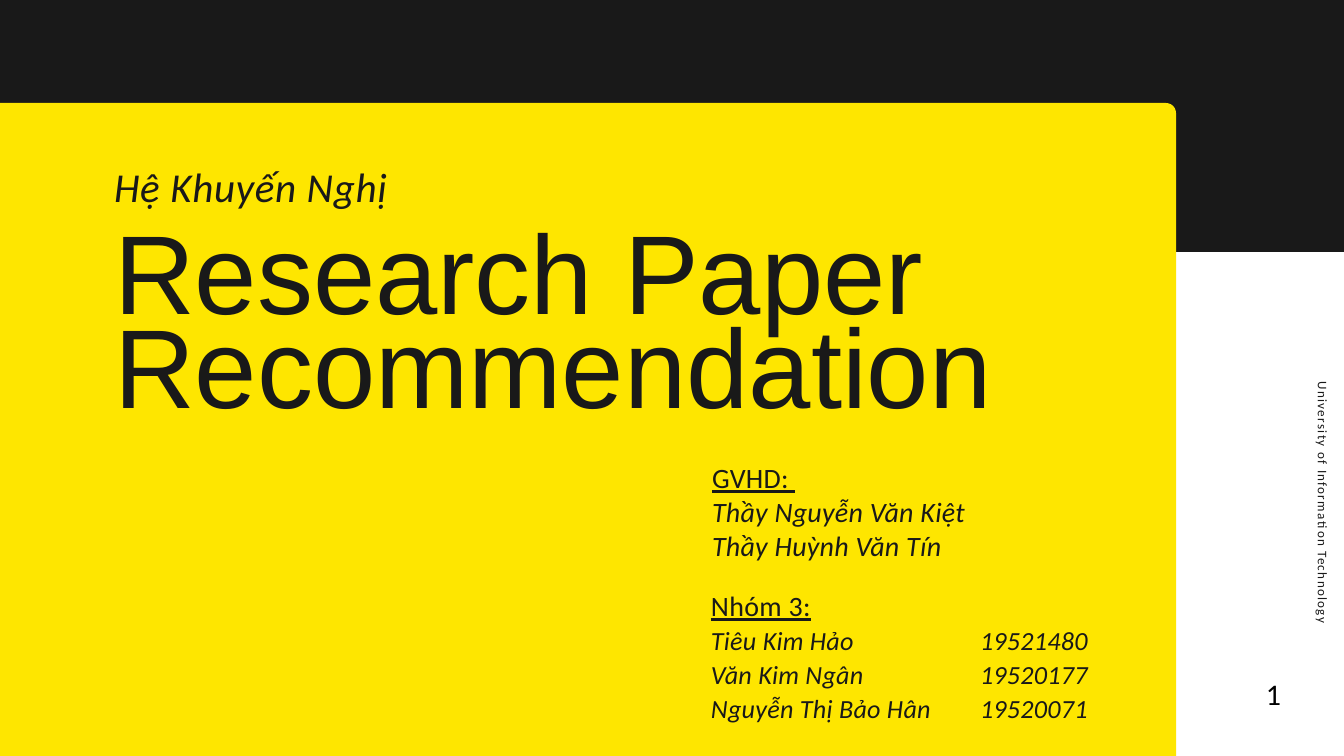
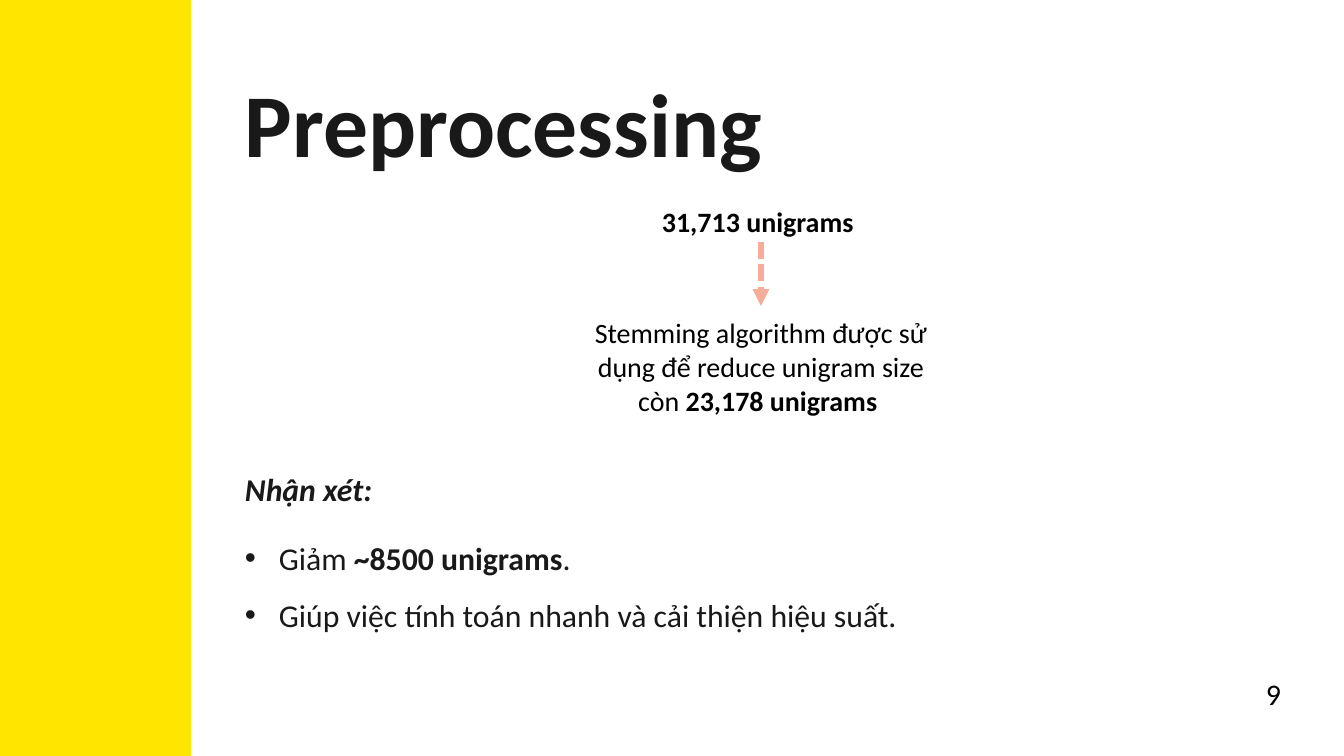
from dataclasses import dataclass

from lxml.etree import SubElement
from pptx import Presentation
from pptx.dml.color import RGBColor
from pptx.enum.dml import MSO_LINE
from pptx.enum.shapes import MSO_CONNECTOR, MSO_SHAPE
from pptx.enum.text import MSO_ANCHOR, MSO_AUTO_SIZE, PP_ALIGN
from pptx.oxml.ns import qn
from pptx.util import Pt

EMU_PER_PX = 914400 / 67.2
YELLOW = RGBColor(0xFE, 0xE6, 0x00)
INK = RGBColor(0x19, 0x19, 0x19)
BLACK = RGBColor(0x00, 0x00, 0x00)
SALMON = RGBColor(0xF5, 0xAD, 0x9A)
BODY_FONT = "Calibri"
DISPLAY_FONT = "Arial"
INSET_X, INSET_Y = 7, 3
TITLE_ONLY = 5


def px(length):
    return round(length * EMU_PER_PX)


@dataclass
class Box:
    left: int
    top: int
    width: int
    height: int

    def inner(self, dx, dy, width, height):
        return Box(self.left + dx, self.top + dy, width, height)

    def emu(self):
        return [px(value) for value in (self.left, self.top, self.width, self.height)]


PAGE = Box(0, 0, 1344, 756)


def add_block(slide, box, kind, color):
    shape = slide.shapes.add_shape(kind, *box.emu())
    shape.shadow.inherit = False
    shape.fill.solid()
    shape.fill.fore_color.rgb = color
    shape.line.fill.background()
    return shape


def set_frame(frame, padded=False, anchor=MSO_ANCHOR.TOP):
    frame.word_wrap = True
    frame.auto_size = MSO_AUTO_SIZE.NONE
    frame.vertical_anchor = anchor
    frame.margin_left = frame.margin_right = px(INSET_X if padded else 0)
    frame.margin_top = frame.margin_bottom = px(INSET_Y if padded else 0)


def add_run(paragraph, text, size, color=INK, font=BODY_FONT, bold=False,
            italic=False, underline=False, tracking=0):
    run = paragraph.add_run()
    run.text = text
    run.font.size = Pt(size)
    run.font.name = font
    run.font.color.rgb = color
    run.font.bold = bold
    run.font.italic = italic
    run.font.underline = underline
    if tracking:
        run._r.get_or_add_rPr().set("spc", str(round(tracking * 100)))


def add_paragraph(frame, align=PP_ALIGN.LEFT, spacing=None):
    first = frame.paragraphs[0]
    paragraph = frame.add_paragraph() if first.runs else first
    paragraph.alignment = align
    if spacing is not None:
        paragraph.line_spacing = spacing
    return paragraph


def add_text_box(slide, box, padded=False, anchor=MSO_ANCHOR.TOP):
    shape = slide.shapes.add_textbox(*box.emu())
    set_frame(shape.text_frame, padded, anchor)
    return shape


def place_title(slide, box, text, size, spacing=None, **style):
    title = slide.shapes.title
    title.left, title.top, title.width, title.height = box.emu()
    set_frame(title.text_frame)
    add_run(add_paragraph(title.text_frame, spacing=spacing), text, size, **style)
    title.element.getparent().append(title.element)


def add_page_number(slide, number):
    shape = add_text_box(slide, PAGE.inner(1131, 680, 157, 27), True, MSO_ANCHOR.MIDDLE)
    add_run(add_paragraph(shape.text_frame, PP_ALIGN.RIGHT), str(number), 32, BLACK)


def set_bullet(paragraph, indent):
    properties = paragraph._p.get_or_add_pPr()
    properties.set("marL", str(px(indent)))
    properties.set("indent", str(-px(indent)))
    SubElement(properties, qn("a:buFont")).set("typeface", "Arial")
    SubElement(properties, qn("a:buChar")).set("char", "•")


def set_tab(paragraph, position):
    stops = SubElement(paragraph._p.get_or_add_pPr(), qn("a:tabLst"))
    stop = SubElement(stops, qn("a:tab"))
    stop.set("pos", str(px(position)))
    stop.set("algn", "l")


def add_name_list(slide, box, heading, names, size, tab=None):
    frame = add_text_box(slide, box).text_frame
    add_run(add_paragraph(frame, spacing=Pt(36)), heading, 30, underline=True, tracking=0.3)
    for name in names:
        paragraph = add_paragraph(frame, spacing=Pt(36))
        if tab:
            set_tab(paragraph, tab)
        add_run(paragraph, name, size, italic=True, tracking=0.3)


def add_cover_card(slide, box):
    card = add_block(slide, box, MSO_SHAPE.ROUNDED_RECTANGLE, YELLOW)
    card.adjustments[0] = 10 / box.height
    place_title(slide, box.inner(166, 141, 1075, 195), "Research Paper Recommendation",
                120, Pt(100), font=DISPLAY_FONT)
    subject = add_text_box(slide, box.inner(166, 81, 715, 32)).text_frame
    add_run(add_paragraph(subject, spacing=Pt(28.8)), "Hệ Khuyến Nghị", 44,
            italic=True, tracking=0.7)
    add_name_list(slide, box.inner(764, 358, 428, 101), "GVHD: ",
                  ["Thầy Nguyễn Văn Kiệt", "Thầy Huỳnh Văn Tín"], 30)
    add_name_list(slide, box.inner(763, 486, 428, 136), "Nhóm 3:",
                  ["Tiêu Kim Hảo\t19521480", "Văn Kim Ngân\t19520177",
                   "Nguyễn Thị Bảo Hân\t19520071"], 28, tab=269)


def add_side_label(slide, box):
    shape = add_text_box(slide, box)
    shape.rotation = 90
    paragraph = add_paragraph(shape.text_frame, PP_ALIGN.CENTER, Pt(16.8))
    add_run(paragraph, "University of Information Technology", 14, tracking=1.4)


def add_stemming_flow(slide, box):
    before = add_text_box(slide, box.inner(0, 0, box.width, 40), padded=True)
    add_run(add_paragraph(before.text_frame, PP_ALIGN.CENTER), "31,713 unigrams ",
            30, BLACK, bold=True)

    middle = px(box.left + box.width // 2)
    arrow = slide.shapes.add_connector(MSO_CONNECTOR.STRAIGHT, middle, px(box.top + 40),
                                       middle, px(box.top + 104))
    arrow.begin_connect(before, 2)
    arrow.line.color.rgb = SALMON
    arrow.line.width = Pt(6)
    arrow.line.dash_style = MSO_LINE.SQUARE_DOT
    properties = arrow.element.spPr
    SubElement(properties.find(qn("a:ln")), qn("a:tailEnd")).set("type", "triangle")
    SubElement(properties, qn("a:effectLst"))

    after = add_text_box(slide, box.inner(64, 111, 366, 109), padded=True)
    paragraph = add_paragraph(after.text_frame, PP_ALIGN.CENTER)
    add_run(paragraph, "Stemming algorithm được sử dụng để reduce unigram size còn ", 30, BLACK)
    add_run(paragraph, "23,178 unigrams ", 30, BLACK, bold=True)


def add_remarks(slide, box):
    frame = add_text_box(slide, box).text_frame
    heading = add_paragraph(frame, spacing=1.5)
    heading.space_after = Pt(12)
    add_run(heading, "Nhận xét:", 34, bold=True, italic=True)
    remarks = [
        [("Giảm ", False), ("~8500 unigrams", True), (".", False)],
        [("Giúp việc tính toán nhanh và cải thiện hiệu suất.", False)],
    ]
    for remark in remarks:
        paragraph = add_paragraph(frame, spacing=1.5)
        set_bullet(paragraph, 34)
        for text, bold in remark:
            add_run(paragraph, text, 34, bold=bold)


def build_cover(slide, page):
    add_block(slide, page.inner(0, 0, page.width, 252), MSO_SHAPE.RECTANGLE, INK)
    add_cover_card(slide, page.inner(-52, 103, 1228, 696))
    add_side_label(slide, page.inner(1132, 495, 383, 15))
    add_page_number(slide, 1)


def build_preprocessing(slide, page):
    add_block(slide, page.inner(0, 0, 191, page.height), MSO_SHAPE.RECTANGLE, YELLOW)
    place_title(slide, page.inner(245, 68, 651, 189), "Preprocessing", 96, bold=True)
    add_page_number(slide, 9)
    add_stemming_flow(slide, page.inner(514, 202, 494, 220))
    add_remarks(slide, page.inner(245, 451, 1060, 178))


def main():
    presentation = Presentation()
    presentation.slide_width = px(PAGE.width)
    presentation.slide_height = px(PAGE.height)
    for build in (build_cover, build_preprocessing):
        build(presentation.slides.add_slide(presentation.slide_layouts[TITLE_ONLY]), PAGE)
    presentation.save("out.pptx")


if __name__ == "__main__":
    main()
